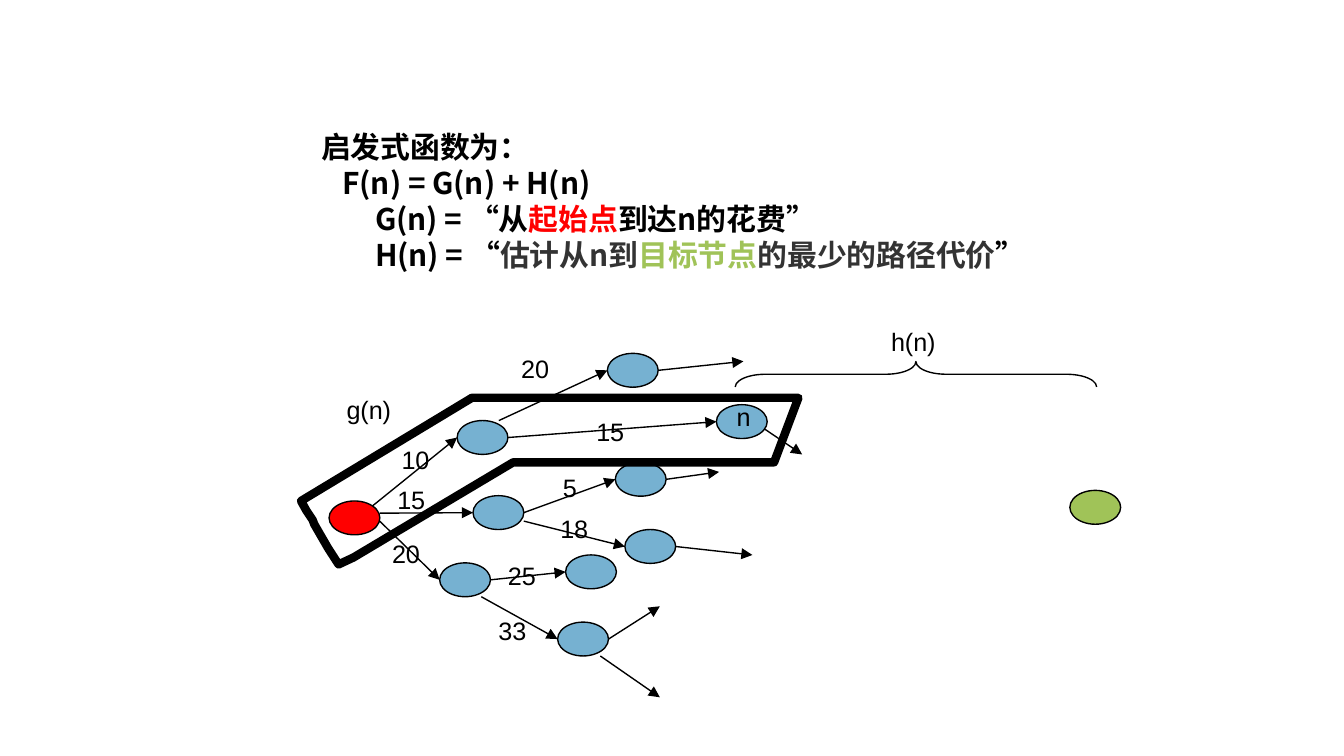
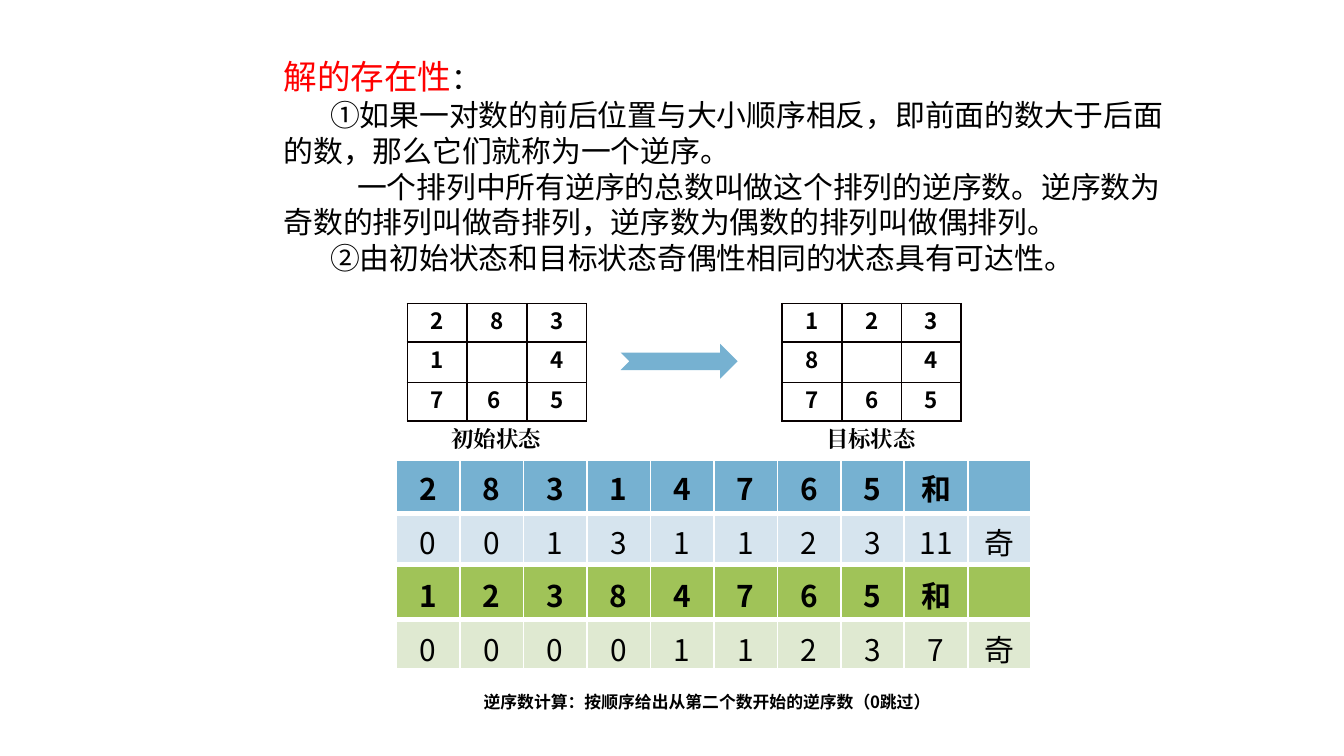
"""Build two slides on heuristic search and the solvability of the eight puzzle."""
from lxml.etree import SubElement
from pptx import Presentation
from pptx.dml.color import RGBColor
from pptx.enum.shapes import MSO_CONNECTOR, MSO_SHAPE
from pptx.enum.text import MSO_AUTO_SIZE, PP_ALIGN
from pptx.oxml.ns import qn
from pptx.util import Cm, Pt

COLORS = {
    "black": "000000", "gray": "333333", "white": "FFFFFF", "red": "FF0000",
    "green": "A0C358", "blue": "76B1D1", "pale_green": "DFE9D1",
    "pale_blue": "D6E4EE", "grid": "080000",
}
SANS = "Noto Sans CJK SC"
NODE_WIDTH, NODE_HEIGHT = 0.96, 0.64
LEFT, RIGHT = (0, 0.5), (1, 0.5)
NODES = {
    "start": (6.22, 9.47, "red"), "goal": (20.22, 9.27, "green"),
    "upper": (8.64, 7.95, "blue"), "middle": (8.94, 9.37, "blue"),
    "lower": (8.31, 10.64, "blue"), "upper_1": (11.48, 6.68, "blue"),
    "n": (13.54, 7.65, "blue"), "middle_1": (11.63, 8.74, "blue"),
    "middle_2": (11.81, 10.01, "blue"), "lower_1": (10.69, 10.49, "blue"),
    "lower_2": (10.54, 11.76, "blue"),
}
EDGES = [
    ("start", (0.85, 0.15), "upper"), ("start", (1, 0.36), "middle"),
    ("start", (1, 0.6), "lower"), ("upper", (0.82, 0), "upper_1"),
    ("upper", RIGHT, "n"), ("middle", RIGHT, "middle_1"),
    ("middle", (1, 0.75), "middle_2"), ("lower", RIGHT, "lower_1"),
    ("lower", (0.82, 1), "lower_2"),
]
OPEN_EDGES = [
    ("upper_1", RIGHT, (14.05, 6.83)), ("n", (0.95, 0.72), (15.16, 8.59)),
    ("middle_1", RIGHT, (13.59, 8.92)), ("middle_2", RIGHT, (14.22, 10.49)),
    ("lower_2", RIGHT, (12.47, 11.46)), ("lower_2", (0.84, 1), (12.47, 13.18)),
]
LABELS = [
    ("10", 7.34, 8.28, 1.1), ("15", 7.26, 9.04, 1.1), ("20", 7.16, 10.06, 1.1),
    ("20", 9.6, 6.55, 1.25), ("15", 11.02, 7.75, 1.25), ("5", 10.39, 8.81, 1.1),
    ("18", 10.34, 9.58, 1.4), ("25", 9.35, 10.46, 1.25), ("33", 9.17, 11.51, 1.4),
    ("n", 13.67, 7.47, 0.85), ("g(n)", 6.3, 7.32, 1.4), ("h(n)", 16.59, 6.05, 1.4),
]
PATH_OUTLINE = [
    (6.4, 10.67), (6.2, 10.36), (5.94, 9.91), (5.91, 9.83), (5.79, 9.65), (5.69, 9.47),
    (8.92, 7.52), (15.09, 7.52), (14.63, 8.74), (9.7, 8.74), (6.68, 10.54),
]
FORMULAS = [
    (0, [("启发式函数为：", {})]),
    (0.4, [("F(n) = G(n) + H(n)", {})]),
    (1.02, [("G(n) = “从", {}), ("起始点", {"color": "red"}), ("到达n的花费”", {})]),
    (1.02, [("H(n) = “", {}), ("估计从n到", {"color": "gray"}),
            ("目标节点", {"color": "green"}), ("的最少的路径代价", {"color": "gray"}),
            ("”", {})]),
]
SOLVABILITY = [
    (0, [("解的存在性", {"color": "red", "size": 18}), ("：", {})]),
    (0.88, [("①如果一对数的前后位置与大小顺序相反，即前面的数大于后面的数，"
             "那么它们就称为一个逆序。", {})]),
    (1.39, [("一个排列中所有逆序的总数叫做这个排列的逆序数。逆序数为奇数的排列叫做奇排列，"
             "逆序数为偶数的排列叫做偶排列。", {})]),
    (0.88, [("②由初始状态和目标状态奇偶性相同的状态具有可达性。", {})]),
]
PUZZLES = [
    (7.7, "初始状态", [["2", "8", "3"], ["1", "", "4"], ["7", "6 ", "5"]]),
    (14.78, "目标状态", [["1", "2", "3"], ["8", "", "4"], ["7", "6", "5"]]),
]
INVERSIONS = [
    (8.69, "blue", "pale_blue", ["2", "8", "3", "1", "4", "7", "6", "5", "和", ""],
     ["0", "0", "1", "3", "1", "1", "2", "3", "11", "奇"]),
    (10.7, "green", "pale_green", ["1", "2", "3", "8", "4", "7", "6", "5", "和", ""],
     ["0", "0", "0", "0", "1", "1", "2", "3", "7", "奇"]),
]


def rgb(name):
    """Return the named colour."""
    return RGBColor.from_string(COLORS[name])


def write_run(paragraph, text, size=16, color="black", bold=False, font=SANS):
    """Add formatted text to a paragraph."""
    run = paragraph.add_run()
    run.text = text
    run.font.size = Pt(size)
    run.font.bold = bold
    run.font.name = font
    run.font.color.rgb = rgb(color)
    SubElement(run.font._element, qn("a:ea")).set("typeface", font)


def add_text(slide, box, paragraphs, align=PP_ALIGN.LEFT, **style):
    """Add a text box of paragraphs, each an indent and its runs."""
    frame = slide.shapes.add_textbox(*map(Cm, box)).text_frame
    frame.word_wrap = True
    frame.auto_size = MSO_AUTO_SIZE.SHAPE_TO_FIT_TEXT
    for index, (indent, runs) in enumerate(paragraphs):
        paragraph = frame.add_paragraph() if index else frame.paragraphs[0]
        paragraph.alignment = align
        if indent:
            paragraph._p.get_or_add_pPr().set("indent", str(Cm(indent)))
        for text, changes in runs:
            write_run(paragraph, text, **{**style, **changes})


def add_label(slide, text, box, **style):
    """Add a text box with a single line."""
    add_text(slide, box, [(0, [(text, {})])], **style)


def format_shape(shape, fill=None, line=None):
    """Set the fill and the line width of a shape without shadow."""
    shape.shadow.inherit = False
    if fill:
        shape.fill.solid()
        shape.fill.fore_color.rgb = rgb(fill)
    else:
        shape.fill.background()
    if line:
        shape.line.color.rgb = rgb("black")
        shape.line.width = Pt(line)
    else:
        shape.line.fill.background()


def add_preset(slide, preset, box, **style):
    """Add a preset shape."""
    shape = slide.shapes.add_shape(preset, *map(Cm, box))
    format_shape(shape, **style)
    return shape


def node_point(name, anchor):
    """Return the point at a fraction of a node's width and height."""
    left, top, _ = NODES[name]
    return left + anchor[0] * NODE_WIDTH, top + anchor[1] * NODE_HEIGHT


def add_arrow(slide, begin, end):
    """Add a thin straight arrow."""
    connector = slide.shapes.add_connector(
        MSO_CONNECTOR.STRAIGHT, *map(Cm, (*begin, *end)))
    connector.line.color.rgb = rgb("black")
    connector.line.width = Pt(0.75)
    SubElement(connector.line._get_or_add_ln(), qn("a:tailEnd")).set("type", "triangle")
    SubElement(connector._element.spPr, qn("a:effectLst"))


def add_outline(slide, points, width):
    """Add a closed outline through the points."""
    corners = [(Cm(x), Cm(y)) for x, y in points]
    builder = slide.shapes.build_freeform(*corners[0])
    builder.add_line_segments(corners[1:], close=True)
    format_shape(builder.convert_to_shape(), line=width)


def set_borders(cell, color, width, bottom):
    """Draw the four borders of a cell."""
    properties = cell._tc.get_or_add_tcPr()
    for index, side in enumerate(("lnL", "lnR", "lnT", "lnB")):
        points = bottom if side == "lnB" else width
        line = SubElement(properties, qn(f"a:{side}"), w=str(Pt(points)))
        fill = SubElement(line, qn("a:solidFill"))
        SubElement(fill, qn("a:srgbClr"), val=COLORS[color])
        properties.remove(line)
        properties.insert(index, line)


def add_table(slide, left, top, column_width, row_height, rows, fills, bolds,
              size, border, bottoms, margins=None):
    """Add a centred table with a fill, weight and bottom border for each row."""
    table = slide.shapes.add_table(
        len(rows), len(rows[0]), Cm(left), Cm(top),
        Cm(column_width * len(rows[0])), Cm(row_height * len(rows))).table
    table.first_row = table.horz_banding = False
    for column in table.columns:
        column.width = Cm(column_width)
    for row_index, values in enumerate(rows):
        table.rows[row_index].height = Cm(row_height)
        for column_index, value in enumerate(values):
            cell = table.cell(row_index, column_index)
            if margins:
                cell.margin_left = cell.margin_right = Cm(margins[0])
                cell.margin_top = cell.margin_bottom = Cm(margins[1])
            if fills[row_index]:
                cell.fill.solid()
                cell.fill.fore_color.rgb = rgb(fills[row_index])
            else:
                cell.fill.background()
            set_borders(cell, border, 1, bottoms[row_index])
            paragraph = cell.text_frame.paragraphs[0]
            paragraph.alignment = PP_ALIGN.CENTER
            write_run(paragraph, value, size=size, bold=bolds[row_index])


def build_heuristic_slide(slide):
    """Show the heuristic function and its search tree."""
    for parent, anchor, child in EDGES:
        add_arrow(slide, node_point(parent, anchor), node_point(child, LEFT))
    for parent, anchor, end in OPEN_EDGES:
        add_arrow(slide, node_point(parent, anchor), end)
    for left, top, color in NODES.values():
        add_preset(slide, MSO_SHAPE.OVAL, (left, top, NODE_WIDTH, NODE_HEIGHT),
                   fill=color, line=0.75)
    add_outline(slide, PATH_OUTLINE, 4.5)
    brace = add_preset(slide, MSO_SHAPE.LEFT_BRACE, (17.07, 3.66, 0.48, 6.83), line=0.75)
    brace.rotation = 90
    brace.adjustments[0] = 1.19
    for text, left, top, width in LABELS:
        add_label(slide, text, (left, top, width, 0.84), size=13.5, font="Arial")
    add_text(slide, (5.82, 2.31, 14.91, 3), FORMULAS, bold=True)


def build_solvability_slide(slide):
    """Explain inversions and compare the parity of two puzzle states."""
    add_text(slide, (5.11, 0.94, 17.2, 4.45), SOLVABILITY)
    for left, caption, rows in PUZZLES:
        add_table(slide, left, 5.74, 1.13, 0.73, rows, fills=[None] * 3,
                  bolds=[True] * 3, size=12, border="grid", bottoms=[1] * 3,
                  margins=(0.18, 0))
        add_label(slide, caption, (left + 0.45, 7.92, 2.46, 0.76), size=12, bold=True,
                  font="Times New Roman", align=PP_ALIGN.CENTER)
    add_preset(slide, MSO_SHAPE.NOTCHED_RIGHT_ARROW, (11.73, 6.5, 2.21, 0.66), fill="blue")
    for top, head_fill, body_fill, numbers, counts in INVERSIONS:
        add_table(slide, 7.49, top, 1.2, 0.92, [numbers, counts],
                  fills=[head_fill, body_fill], bolds=[True, False], size=16,
                  border="white", bottoms=[3, 1])
    add_label(slide, "逆序数计算：按顺序给出从第二个数开始的逆序数（0跳过）",
              (8.89, 12.95, 9.12, 0.64), size=9, bold=True)


def main():
    """Create the presentation."""
    presentation = Presentation()
    presentation.slide_width, presentation.slide_height = Cm(25.4), Cm(14.29)
    blank_layout = presentation.slide_layouts[6]
    for build in (build_heuristic_slide, build_solvability_slide):
        build(presentation.slides.add_slide(blank_layout))
    presentation.save("out.pptx")


if __name__ == "__main__":
    main()
